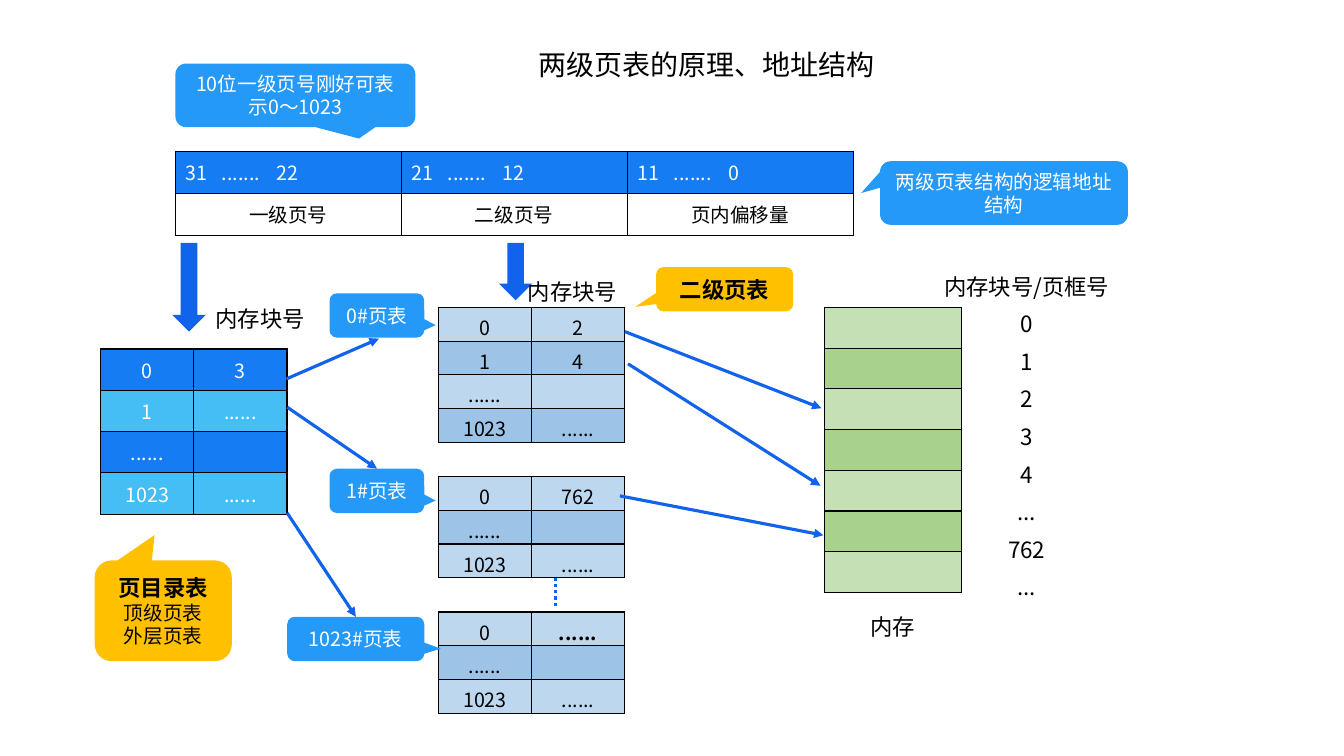
from lxml.etree import SubElement
from pptx import Presentation
from pptx.dml.color import RGBColor
from pptx.enum.dml import MSO_LINE
from pptx.enum.shapes import MSO_CONNECTOR, MSO_SHAPE
from pptx.enum.text import MSO_ANCHOR, MSO_AUTO_SIZE, PP_ALIGN
from pptx.oxml.ns import qn
from pptx.util import Pt

FONT = "Noto Sans CJK SC"
BLACK = RGBColor(0, 0, 0)
WHITE = RGBColor(255, 255, 255)
BLUE = RGBColor(0x15, 0x7C, 0xF3)
CYAN = RGBColor(0x45, 0xBE, 0xF5)
ARROW_BLUE = RGBColor(0x11, 0x63, 0xEB)
CALLOUT_BLUE = RGBColor(0x24, 0x99, 0xF8)
GOLD = RGBColor(0xFF, 0xC0, 0x00)
PALE_BLUE = RGBColor(0xBD, 0xD7, 0xEE)
MID_BLUE = RGBColor(0x9D, 0xC3, 0xE6)
PALE_GREEN = RGBColor(0xC5, 0xE0, 0xB4)
MID_GREEN = RGBColor(0xA9, 0xD1, 0x8E)

DOTS = "......"
ADDRESS_TABS = (26, 65)
ADDRESS_ROWS = [
    ["31\t.......\t22", "21\t.......\t12", "11\t.......\t0"],
    ["一级页号", "二级页号", "页内偏移量"],
]
DIRECTORY_ROWS = [["0", "3"], ["1", DOTS], [DOTS, ""], ["1023", DOTS]]
PAGE_TABLES = [
    (219.6, [["0", "2"], ["1", "4"], [DOTS, ""], ["1023", DOTS]]),
    (340.4, [["0", "762"], [DOTS, ""], ["1023", DOTS]]),
    (437.2, [["0", DOTS], [DOTS, ""], ["1023", DOTS]]),
]
MEMORY_ROWS = [[""]] * 7

BLOCK_ARROWS = [(123.1, 173.5, 23.8, 63.4), (356.4, 173.5, 23.8, 41)]
ARROWS = [
    (204.5, 270.7, 270.7, 241.9),
    (205.2, 290.9, 269.3, 334.8),
    (205.2, 366.5, 254.2, 440.6),
    (446.4, 236.9, 586.8, 291.6),
    (448.6, 259.9, 586.1, 347),
    (442.8, 354.2, 588.2, 382.3),
]
CONTINUATION = (396.7, 412.6, 396.7, 434.2)

BLUE_CALLOUTS = [
    ("10位一级页号刚好可表示0～1023", 125.3, 45.4, 171.4, 45.4, 0.265, 0.68),
    ("两级页表结构的逻辑地址结构", 628.6, 115.2, 177.1, 45.4, -0.576, 0),
    ("0#页表", 235.4, 209.5, 67.7, 31.7, 0.621, 0.219),
    ("1#页表", 235.4, 334.8, 67.7, 31.7, 0.621, 0.219),
    ("1023#页表", 205.2, 440.6, 97.9, 31.7, 0.621, 0.219),
]
GOLD_CALLOUTS = [
    ("页目录表\n顶级页表\n外层页表", 67.7, 400.3, 97.9, 72, -0.063, -0.751),
    ("二级页表", 468.7, 190.8, 97.9, 31.7, -0.653, 0.398),
]
LABELS = [
    ("两级页表的原理、地址结构", 210.2, 30.2, 589, 31.7, 20, 1),
    ("内存块号", 142.6, 214.6, 86.4, 26.6, 16, 1),
    ("内存块号", 365.8, 195.1, 86.4, 26.6, 16, 1),
    ("内存块号/页框号\n0\n1\n2\n3\n4\n...\n762\n...",
     666.7, 183.6, 133.2, 251.3, 16, 1.4),
    ("内存", 594.7, 434.2, 86.4, 26.6, 16, 1),
]


def style_paragraph(paragraph, size, color, bold=False):
    paragraph.alignment = PP_ALIGN.CENTER
    for run in paragraph.runs:
        run.font.size = Pt(size)
        run.font.name = FONT
        run.font.bold = bold
        run.font.color.rgb = color
        SubElement(run.font._element, qn("a:ea"), typeface=FONT)
    if not paragraph.runs:
        SubElement(paragraph._p, qn("a:endParaRPr"), sz=str(size * 100))


def add_borders(cell):
    properties = cell._tc.get_or_add_tcPr()
    for side in ("lnL", "lnR", "lnT", "lnB"):
        border = SubElement(properties, qn(f"a:{side}"), w=str(Pt(1)))
        fill = SubElement(border, qn("a:solidFill"))
        SubElement(fill, qn("a:srgbClr"), val=str(BLACK))


def add_grid(slide, rows, left, top, column_width, row_height, fills, colors, bottom=3.6):
    frame = slide.shapes.add_table(
        len(rows), len(rows[0]), Pt(left), Pt(top),
        Pt(column_width * len(rows[0])), Pt(row_height * len(rows)))
    table = frame.table
    table.first_row = False
    table.horz_banding = False
    for column in table.columns:
        column.width = Pt(column_width)
    for row_index, texts in enumerate(rows):
        table.rows[row_index].height = Pt(row_height)
        for column_index, text in enumerate(texts):
            cell = table.cell(row_index, column_index)
            add_borders(cell)
            cell.fill.solid()
            cell.fill.fore_color.rgb = fills[row_index % 2]
            cell.vertical_anchor = MSO_ANCHOR.MIDDLE
            cell.margin_bottom = Pt(bottom)
            paragraph = cell.text_frame.paragraphs[0]
            if text:
                paragraph.text = text
            style_paragraph(paragraph, 14, colors[row_index % 2])
    return table


def add_line(slide, ends):
    line = slide.shapes.add_connector(MSO_CONNECTOR.STRAIGHT, *map(Pt, ends))
    line.line.color.rgb = ARROW_BLUE
    line.line.width = Pt(2.25)
    SubElement(line._element.spPr, qn("a:effectLst"))
    return line


def add_filled(slide, kind, box, color):
    shape = slide.shapes.add_shape(kind, *map(Pt, box))
    shape.shadow.inherit = False
    shape.fill.solid()
    shape.fill.fore_color.rgb = color
    shape.line.fill.background()
    return shape


def add_callout(slide, text, box, tail, fill):
    shape = add_filled(slide, MSO_SHAPE.ROUNDED_RECTANGULAR_CALLOUT, box, fill)
    shape.adjustments[0], shape.adjustments[1] = tail
    frame = shape.text_frame
    frame.word_wrap = True
    frame.vertical_anchor = MSO_ANCHOR.MIDDLE
    frame.text = text
    for index, paragraph in enumerate(frame.paragraphs):
        heading = fill == GOLD and index == 0
        style_paragraph(paragraph, 16 if heading else 14,
                        BLACK if fill == GOLD else WHITE, heading)


def main():
    presentation = Presentation()
    presentation.slide_width, presentation.slide_height = Pt(960), Pt(540)
    slide = presentation.slides.add_slide(presentation.slide_layouts[6])

    address = add_grid(slide, ADDRESS_ROWS, 125.3, 108, 161.4, 30.1,
                       (BLUE, WHITE), (WHITE, BLACK))
    for cell in address.rows[0].cells:
        paragraph = cell.text_frame.paragraphs[0]
        paragraph.alignment = PP_ALIGN.LEFT
        tabs = SubElement(paragraph._p.get_or_add_pPr(), qn("a:tabLst"))
        for position in ADDRESS_TABS:
            SubElement(tabs, qn("a:tab"), pos=str(Pt(position)), algn="l")

    add_grid(slide, DIRECTORY_ROWS, 72, 249.3, 66.5, 29.5, (BLUE, CYAN), (WHITE, WHITE))
    for top, rows in PAGE_TABLES:
        page_table = add_grid(slide, rows, 313.2, top, 66.5, 24.1,
                              (PALE_BLUE, MID_BLUE), (BLACK, BLACK), 0)
    page_table.cell(0, 1).text_frame.paragraphs[0].runs[0].font.bold = True
    add_grid(slide, MEMORY_ROWS, 589, 219.6, 97.9, 29.1,
             (PALE_GREEN, MID_GREEN), (BLACK, BLACK))

    for box in BLOCK_ARROWS:
        add_filled(slide, MSO_SHAPE.UP_ARROW, box, ARROW_BLUE).rotation = 180
    for ends in ARROWS:
        arrow = add_line(slide, ends)
        SubElement(arrow.line._get_or_add_ln(), qn("a:tailEnd"), type="triangle")
    add_line(slide, CONTINUATION).line.dash_style = MSO_LINE.ROUND_DOT

    for callouts, fill in ((BLUE_CALLOUTS, CALLOUT_BLUE), (GOLD_CALLOUTS, GOLD)):
        for text, *numbers in callouts:
            add_callout(slide, text, numbers[:4], numbers[4:], fill)

    for text, left, top, width, height, size, spacing in LABELS:
        label = slide.shapes.add_textbox(Pt(left), Pt(top), Pt(width), Pt(height))
        frame = label.text_frame
        frame.word_wrap = True
        frame.auto_size = MSO_AUTO_SIZE.SHAPE_TO_FIT_TEXT
        frame.text = text
        for paragraph in frame.paragraphs:
            style_paragraph(paragraph, size, BLACK)
            paragraph.line_spacing = spacing

    presentation.save("out.pptx")


if __name__ == "__main__":
    main()
